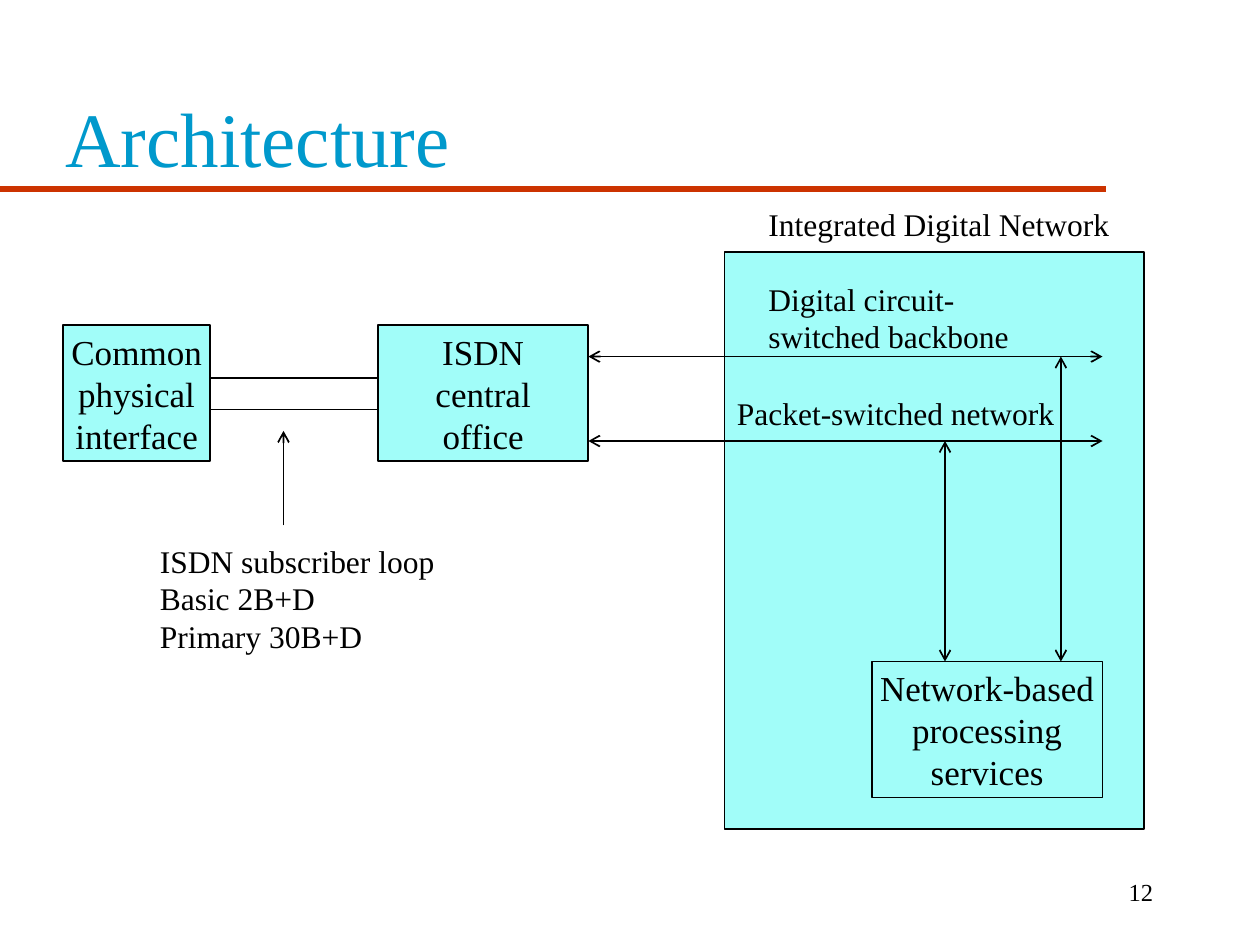
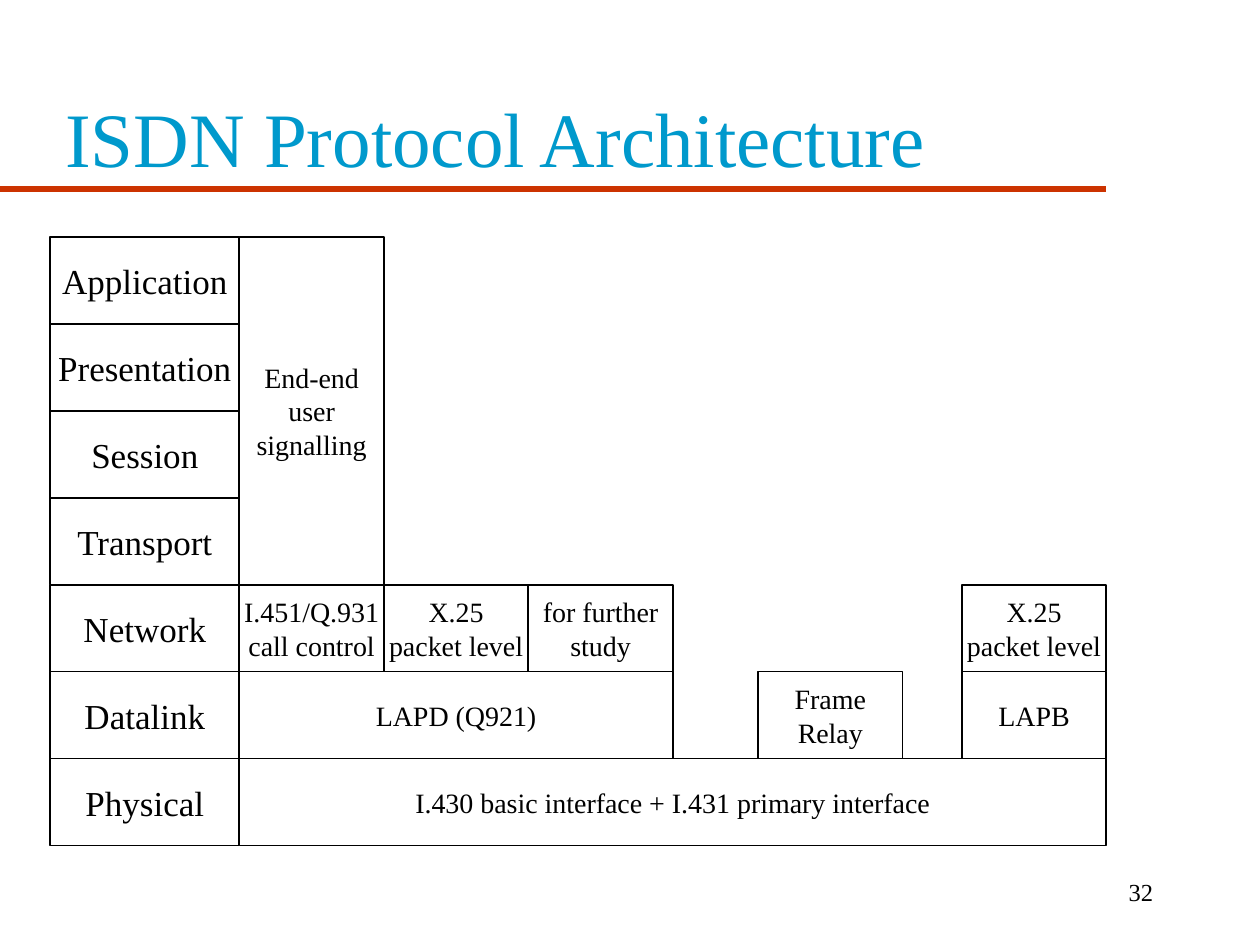
from typing import NamedTuple

from pptx import Presentation
from pptx import util as u
from pptx.dml.color import RGBColor
from pptx.enum import shapes, text
from pptx.oxml.ns import qn
from lxml import etree

FONT = "Times New Roman"
BLACK, WHITE = "000000", "FFFFFF"
BLUE, RED, AQUA = "0099CC", "CC3300", "A1FDF9"
LEFT, MID, RIGHT = text.PP_ALIGN.LEFT, text.PP_ALIGN.CENTER, text.PP_ALIGN.RIGHT
TOP, CENTER, BASE = (text.MSO_ANCHOR.TOP, text.MSO_ANCHOR.MIDDLE,
                     text.MSO_ANCHOR.BOTTOM)


class Area(NamedTuple):
    x: float
    y: float
    w: float
    h: float


class Box(NamedTuple):
    area: Area
    words: str = ""


class Line(NamedTuple):
    start: tuple[float, float]
    end: tuple[float, float]
    heads: str = ""  # "head", "tail" or both


class Cell(NamedTuple):
    words: str
    row: int
    col: float
    rows: int = 1
    cols: int = 1


def color(code: str) -> RGBColor:
    return RGBColor.from_string(code)


def inches(*sizes: float) -> list[u.Length]:
    return [u.Inches(size) for size in sizes]


def write(shape, words: str, *, size: float, ink: str = BLACK,
          align=LEFT, anchor=TOP, wrap: bool = False) -> None:
    frame = shape.text_frame
    frame.word_wrap = wrap
    frame.vertical_anchor = anchor
    frame.text = words
    for para in frame.paragraphs:
        para.alignment = align
        para.font.size = u.Pt(size)
        para.font.name = FONT
        para.font.color.rgb = color(ink)


def label(slide, box: Box, **style) -> None:
    write(slide.shapes.add_textbox(*inches(*box.area)), box.words, **style)


def block(slide, box: Box, fill: str, size: float) -> None:
    shape = slide.shapes.add_shape(shapes.MSO_SHAPE.RECTANGLE, *inches(*box.area))
    shape.shadow.inherit = False
    shape.fill.solid()
    shape.fill.fore_color.rgb = color(fill)
    shape.line.color.rgb = color(BLACK)
    shape.line.width = u.Pt(1)
    if box.words:
        write(shape, box.words, size=size, align=MID, anchor=CENTER)


def draw(slide, line: Line, ink: str = BLACK, width: float = 1) -> None:
    link = slide.shapes.add_connector(shapes.MSO_CONNECTOR.STRAIGHT,
                                      *inches(*line.start, *line.end))
    link.line.color.rgb = color(ink)
    link.line.width = u.Pt(width)
    pen = link.line._get_or_add_ln()
    for end in line.heads.split():
        etree.SubElement(pen, qn(f"a:{end}End"), type="arrow")
    etree.SubElement(link._element.spPr, qn("a:effectLst"))


def start(deck, title: str, page: int):
    """Add a slide with the shared rule, page number and title."""
    slide = deck.slides.add_slide(deck.slide_layouts[6])
    draw(slide, Line((0, 1.5), (8.78, 1.5)), ink=RED, width=4)
    label(slide, Box(Area(7.17, 6.83, 2.08, 0.5), str(page)),
          size=14, align=RIGHT, anchor=CENTER, wrap=True)
    label(slide, Box(Area(0.42, 0.29, 8.5, 1.21), title),
          size=44, ink=BLUE, anchor=BASE, wrap=True)
    return slide


# Network diagram
BLOCKS = [
    Box(Area(0.5, 2.58, 1.17, 1.08), "Common\nphysical\ninterface"),
    Box(Area(3, 2.58, 1.67, 1.08), "ISDN\ncentral\noffice"),
    Box(Area(5.75, 2, 3.33, 4.58)),
    Box(Area(6.92, 5.25, 1.83, 1.08), "Network-based\nprocessing\nservices"),
]
BOTH = "head tail"
LINES = [
    Line((1.67, 3), (3, 3)),
    Line((1.67, 3.25), (3, 3.25)),
    Line((4.67, 2.83), (8.75, 2.83), BOTH),
    Line((4.67, 3.5), (8.75, 3.5), BOTH),
    Line((7.5, 3.5), (7.5, 5.25), BOTH),
    Line((8.42, 2.83), (8.42, 5.25), BOTH),
    Line((2.25, 4.17), (2.25, 3.42), "tail"),
]
LABELS = [
    Box(Area(6, 2.17, 2.11, 0.7), "Digital circuit-\nswitched backbone"),
    Box(Area(5.75, 3.08, 2.72, 0.4), "Packet-switched network"),
    Box(Area(6, 1.58, 2.91, 0.4), "Integrated Digital Network"),
    Box(Area(1.17, 4.25, 2.38, 1),
        "ISDN subscriber loop\nBasic 2B+D\nPrimary 30B+D"),
]

# Protocol stack: seven layers beside a grid of six columns
LAYERS = ["Application", "Presentation", "Session", "Transport",
          "Network", "Datalink", "Physical"]
EDGE, CEIL, NAME = 0.4, 1.88, 1.5
ROW, COL = 0.69, 6.88 / 6
CELLS = [
    Cell("End-end\nuser\nsignalling", 0, 0, rows=4),
    Cell("I.451/Q.931\ncall control", 4, 0),
    Cell("LAPD (Q921)", 5, 0, cols=3),
    Cell("I.430 basic interface + I.431 primary interface", 6, 0, cols=6),
    Cell("X.25\npacket level", 4, 1),
    Cell("for further\nstudy", 4, 2),
    Cell("LAPB", 5, 5),
    Cell("Frame\nRelay", 5, 3.59),
    Cell("X.25\npacket level", 4, 5),
]


def network(deck) -> None:
    slide = start(deck, "Architecture", 12)
    for box in BLOCKS:
        block(slide, box, AQUA, 20)
    for line in LINES:
        draw(slide, line)
    for box in LABELS:
        label(slide, box, size=18)


def stack(deck) -> None:
    slide = start(deck, "ISDN Protocol Architecture", 32)
    for row, name in enumerate(LAYERS):
        area = Area(EDGE, CEIL + row * ROW, NAME, ROW)
        block(slide, Box(area, name), WHITE, 20)
    for cell in CELLS:
        area = Area(EDGE + NAME + cell.col * COL, CEIL + cell.row * ROW,
                    cell.cols * COL, cell.rows * ROW)
        block(slide, Box(area, cell.words), WHITE, 16)


def main() -> None:
    deck = Presentation()
    deck.slide_width, deck.slide_height = inches(10, 7.5)
    network(deck)
    stack(deck)
    deck.save("out.pptx")


if __name__ == "__main__":
    main()
